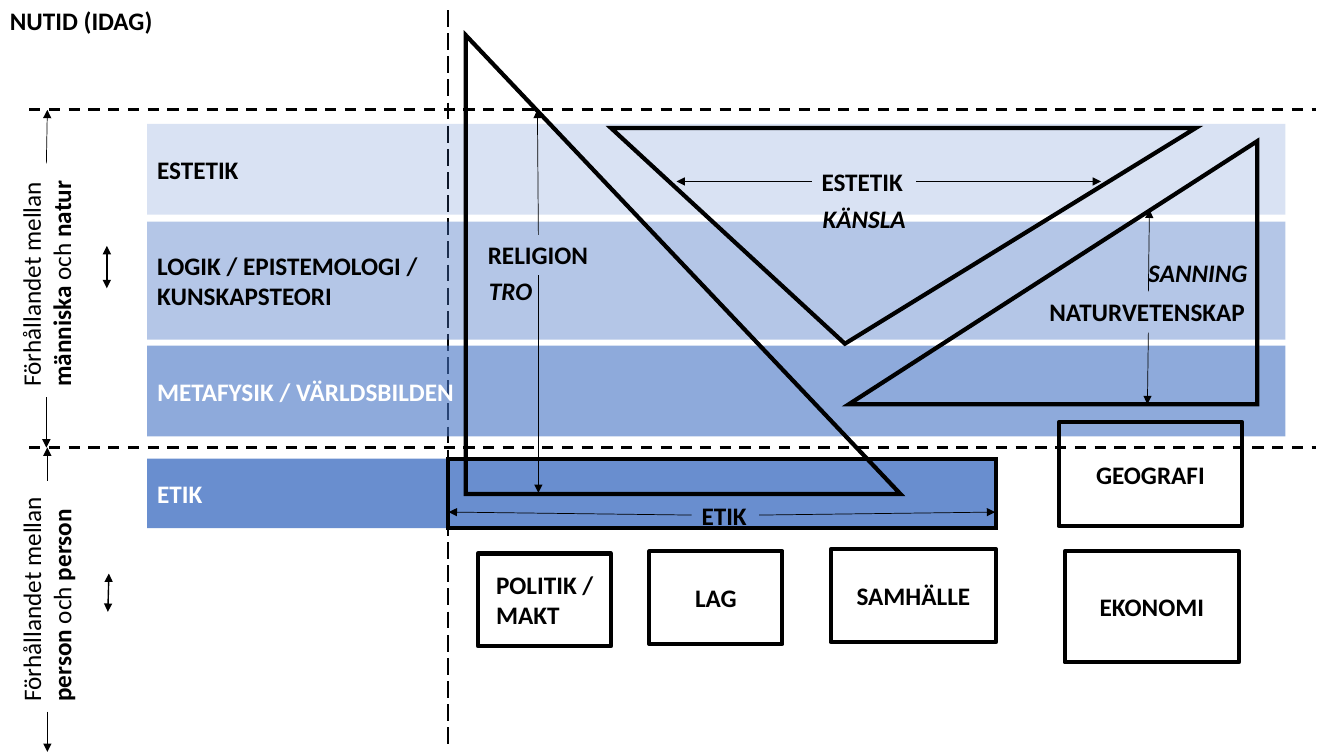
"""Build a slide that maps fields of philosophy to human life today."""
import dataclasses
import typing

import lxml.etree
import pptx
import pptx.dml.color
import pptx.enum.dml
import pptx.enum.shapes
import pptx.enum.text
import pptx.oxml.ns
import pptx.util

Inches = pptx.util.Inches
Shape = pptx.enum.shapes.MSO_SHAPE
Align = pptx.enum.text.PP_ALIGN
Dash = pptx.enum.dml.MSO_LINE
RGBColor = pptx.dml.color.RGBColor

BLACK = RGBColor(0x00, 0x00, 0x00)
WHITE = RGBColor(0xFF, 0xFF, 0xFF)
BLUE = RGBColor(0x44, 0x72, 0xC4)

FONT = {"name": "Calibri", "size": pptx.util.Pt(18)}
BOLD = {"bold": True}
SLANT = {"bold": True, "italic": True}
GROW = {"auto_size": pptx.enum.text.MSO_AUTO_SIZE.SHAPE_TO_FIT_TEXT}
MIDDLE = {"vertical_anchor": pptx.enum.text.MSO_ANCHOR.MIDDLE, "word_wrap": True}


@dataclasses.dataclass
class Area:
    left: float
    top: float
    width: float
    height: float


@dataclasses.dataclass
class Band:
    area: Area
    text: str
    shade: int
    color: RGBColor = BLACK


@dataclasses.dataclass
class Box:
    area: Area
    text: str
    align: Align = Align.CENTER
    inset: float = 0.1


@dataclasses.dataclass
class Frame:
    kind: Shape
    area: Area
    apex: float | None = None
    turn: int = 0


@dataclasses.dataclass
class Label:
    area: Area
    text: str
    wrap: bool = False
    look: dict = dataclasses.field(default_factory=lambda: BOLD)


@dataclasses.dataclass
class Side:
    area: Area
    words: tuple[str, ...]


class Line(typing.NamedTuple):
    start: tuple[float, float]
    end: tuple[float, float]
    width: float = 0.5
    dash: Dash | None = None
    heads: tuple[str, ...] = ("tailEnd",)


RULES = [
    Line((0.29, 1.09), (13.05, 1.09), 2, Dash.DASH, ()),
    Line((0.29, 4.44), (13.05, 4.44), 2, Dash.DASH, ()),
    Line((4.44, 0.1), (4.44, 7.4), 1.5, Dash.LONG_DASH, ()),
]
BANDS = [
    Band(Area(1.46, 3.43, 11.29, 0.9), "METAFYSIK / VÄRLDSBILDEN", 60, WHITE),
    Band(Area(1.46, 4.55, 8.42, 0.69), "ETIK", 80, WHITE),
    Band(Area(1.46, 2.2, 11.29, 1.17), "LOGIK / EPISTEMOLOGI /\nKUNSKAPSTEORI", 40),
    Band(Area(1.46, 1.23, 11.29, 0.9), "ESTETIK", 20),
]
SIDES = [
    Side(Area(-0.7, 2.42, 2.32, 0.71),
         ("Förhållandet mellan ", "människa", " och ", "natur")),
    Side(Area(-0.68, 5.56, 2.29, 0.71),
         ("Förhållandet mellan ", "person", " och ", "person")),
]
BOTH = ("headEnd", "tailEnd")
ARROWS = [
    Line((1.06, 2.44), (1.06, 2.86), 1, heads=BOTH),
    Line((1.08, 5.69), (1.07, 6.07), 1, heads=BOTH),
    Line((0.46, 1.62), (0.47, 1.09)),
    Line((0.47, 4.77), (0.47, 4.44)),
    Line((0.46, 3.94), (0.46, 4.44)),
    Line((0.47, 7.06), (0.47, 7.46)),
    Line((5.34, 2.33), (5.33, 1.09)),
    Line((5.34, 2.73), (5.34, 4.89)),
    Line((11.39, 2.89), (11.4, 2.08)),
    Line((11.39, 3.3), (11.38, 4.01)),
    Line((8.05, 1.8), (6.71, 1.8)),
    Line((9.09, 1.8), (10.92, 1.8)),
    Line((6.86, 5.11), (4.45, 5.08)),
    Line((7.53, 5.11), (9.87, 5.08)),
]
FRAMES = [
    Frame(Shape.ISOSCELES_TRIANGLE, Area(4.62, 0.35, 4.31, 4.55), 0),
    Frame(Shape.ISOSCELES_TRIANGLE, Area(8.42, 1.4, 4.05, 2.61), 1),
    Frame(Shape.ISOSCELES_TRIANGLE, Area(6.06, 1.27, 5.8, 2.14), 0.6, 180),
    Frame(Shape.RECTANGLE, Area(4.44, 4.55, 5.44, 0.69)),
]
BOXES = [
    Box(Area(10.5, 4.19, 1.82, 1.03), "GEOGRAFI"),
    Box(Area(4.74, 5.49, 1.32, 0.92), "POLITIK / MAKT", Align.LEFT, 0.18),
    Box(Area(6.44, 5.47, 1.32, 0.92), "LAG"),
    Box(Area(8.24, 5.45, 1.64, 0.92), "SAMHÄLLE"),
    Box(Area(10.56, 5.47, 1.73, 1.1), "EKONOMI"),
]
LABELS = [
    Label(Area(0, 0, 1.63, 0.4), "NUTID (IDAG)"),
    Label(Area(4.74, 2.33, 1.2, 0.4), "RELIGION"),
    Label(Area(10.31, 2.89, 2.16, 0.4), "NATURVETENSKAP"),
    Label(Area(8.05, 1.6, 1.04, 0.4), "ESTETIK", True),
    Label(Area(6.86, 4.91, 0.67, 0.4), "ETIK", True),
    Label(Area(4.75, 2.68, 0.64, 0.4), "TRO", look=SLANT),
    Label(Area(11.29, 2.5, 1.2, 0.4), "SANNING", look=SLANT),
    Label(Area(8.06, 1.97, 1.04, 0.4), "KÄNSLA", look=SLANT),
]


def style(thing: object, look: dict) -> None:
    for key, value in look.items():
        setattr(thing, key, value)


def place(area: Area) -> list[int]:
    return [Inches(value) for value in dataclasses.astuple(area)]


def add(node: lxml.etree._Element, tag: str, **values: str) -> None:
    lxml.etree.SubElement(node, pptx.oxml.ns.qn("a:" + tag), values)


def write(body, text: str, look: dict, color=BLACK, align=Align.LEFT) -> None:
    body.text = text
    for para in body.paragraphs:
        para.alignment = align
        for run in para.runs:
            style(run.font, FONT | look)
            run.font.color.rgb = color


def outline(slide, kind: Shape, area: Area):
    shape = slide.shapes.add_shape(kind, *place(area))
    shape.shadow.inherit = False
    shape.fill.background()
    shape.line.color.rgb = BLACK
    shape.line.width = pptx.util.Pt(3)
    return shape


def draw_line(slide, line: Line) -> None:
    ends = [Inches(value) for value in line.start + line.end]
    link = slide.shapes.add_connector(pptx.enum.shapes.MSO_CONNECTOR.STRAIGHT, *ends)
    link.line.color.rgb = BLACK
    style(link.line, {"width": pptx.util.Pt(line.width), "dash_style": line.dash})
    for head in line.heads:
        add(link.element.spPr.get_or_add_ln(), head, type="triangle")
    add(link.element.spPr, "effectLst")


def draw_band(slide, band: Band) -> None:
    shape = outline(slide, Shape.RECTANGLE, band.area)
    shape.line.fill.background()
    shape.fill.solid()
    shape.fill.fore_color.rgb = BLUE
    tint = shape.element.spPr.find(".//" + pptx.oxml.ns.qn("a:srgbClr"))
    add(tint, "alpha", val=str(band.shade * 1000))
    style(shape.text_frame, MIDDLE)
    write(shape.text_frame, band.text, BOLD, band.color)


def draw_frame(slide, frame: Frame) -> None:
    shape = outline(slide, frame.kind, frame.area)
    shape.rotation = frame.turn
    if frame.apex is not None:
        shape.adjustments[0] = frame.apex
    add(shape.element.spPr.get_or_add_ln(), "miter", lim="800000")


def draw_box(slide, box: Box) -> None:
    body = outline(slide, Shape.RECTANGLE, box.area).text_frame
    style(body, MIDDLE | {"margin_left": Inches(box.inset)})
    write(body, box.text, BOLD, align=box.align)


def draw_label(slide, label: Label) -> None:
    body = slide.shapes.add_textbox(*place(label.area)).text_frame
    style(body, GROW | {"word_wrap": label.wrap})
    write(body, label.text, label.look)


def draw_side(slide, side: Side) -> None:
    shape = slide.shapes.add_textbox(*place(side.area))
    shape.rotation = 270
    style(shape.text_frame, GROW | {"word_wrap": True})
    for index, word in enumerate(side.words):
        run = shape.text_frame.paragraphs[0].add_run()
        run.text = word
        style(run.font, FONT | {"bold": index % 2 == 1})
        run.font.color.rgb = BLACK


def main() -> None:
    deck = pptx.Presentation()
    style(deck, {"slide_width": Inches(13.33), "slide_height": Inches(7.5)})
    slide = deck.slides.add_slide(deck.slide_layouts[6])
    plan = [(draw_line, RULES), (draw_band, BANDS), (draw_side, SIDES),
            (draw_line, ARROWS), (draw_frame, FRAMES), (draw_box, BOXES),
            (draw_label, LABELS)]
    for draw, items in plan:
        for item in items:
            draw(slide, item)
    deck.save("out.pptx")


if __name__ == "__main__":
    main()
